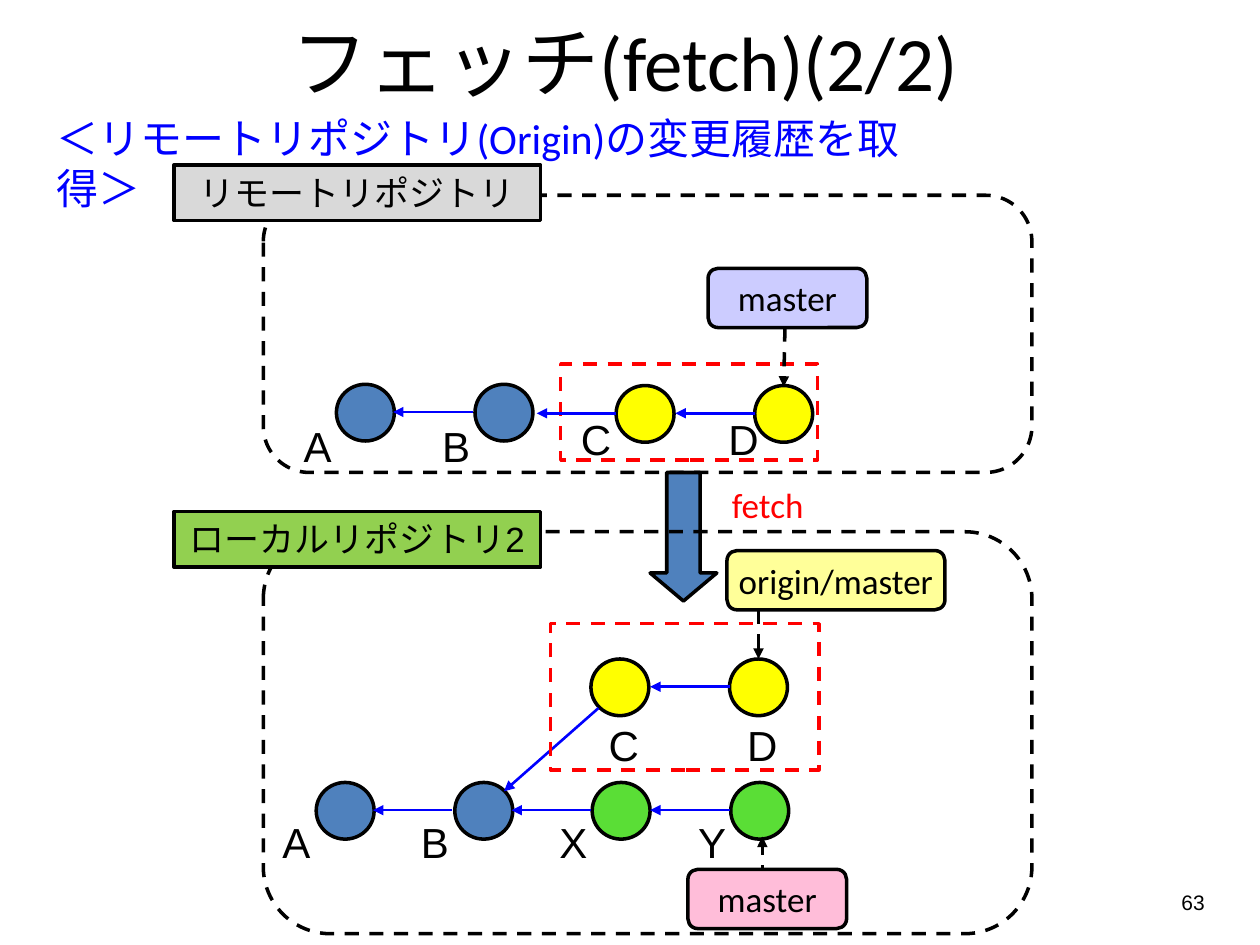
from pptx import Presentation
from pptx.dml.color import RGBColor
from pptx.enum.dml import MSO_LINE
from pptx.enum.shapes import MSO_CONNECTOR, MSO_SHAPE
from pptx.enum.text import MSO_ANCHOR, PP_ALIGN
from pptx.oxml.ns import qn
from pptx.util import Inches, Pt
from lxml.etree import SubElement

BLACK = RGBColor(0x00, 0x00, 0x00)
WHITE = RGBColor(0xFF, 0xFF, 0xFF)
RED = RGBColor(0xFF, 0x00, 0x00)
BLUE = RGBColor(0x00, 0x00, 0xFF)
STEEL = RGBColor(0x4F, 0x81, 0xBD)
YELLOW = RGBColor(0xFF, 0xFF, 0x00)
GREEN = RGBColor(0x5A, 0xDE, 0x36)
LIME = RGBColor(0x92, 0xD0, 0x50)
GRAY = RGBColor(0xD9, 0xD9, 0xD9)
PINK = RGBColor(0xFF, 0xBD, 0xD9)
CREAM = RGBColor(0xFF, 0xFF, 0x99)
LILAC = RGBColor(0xCC, 0xCC, 0xFF)

COLUMNS, ROWS = 100, 75
STEP = 11  # columns between neighbouring commits
COMMIT_WIDTH, COMMIT_HEIGHT = 4.6, 4.5


class Diagram:
    body_font = "Calibri"
    label_font = "Arial"

    def __init__(self, deck):
        self.column = deck.slide_width / COLUMNS
        self.row = deck.slide_height / ROWS
        self.page = deck.slides.add_slide(deck.slide_layouts[5])

    def place(self, left, top, width, height):
        """Turn columns and rows into slide lengths."""
        return (round(left * self.column), round(top * self.row),
                round(width * self.column), round(height * self.row))

    def fill_text(self, shape, words, size, font, color=BLACK,
                  align=PP_ALIGN.LEFT, anchor=MSO_ANCHOR.TOP, wrap=True, inset=None):
        frame = shape.text_frame
        frame.word_wrap = wrap
        frame.vertical_anchor = anchor
        if inset is not None:
            frame.margin_left = frame.margin_right = Inches(inset)
        para = frame.paragraphs[0]
        para.alignment = align
        para.font.size = Pt(size)
        para.font.name = font
        para.font.color.rgb = color
        para.add_run().text = words

    def title(self, words, *area):
        holder = self.page.shapes.title
        holder.left, holder.top, holder.width, holder.height = self.place(*area)
        self.fill_text(holder, words, 44, self.body_font,
                       align=PP_ALIGN.CENTER, anchor=MSO_ANCHOR.MIDDLE)

    def text(self, words, area, size, font, **style):
        box = self.page.shapes.add_textbox(*self.place(*area))
        self.fill_text(box, words, size, font, **style)
        return box

    def shape(self, kind, area, fill=None, line=BLACK, dashed=False):
        shape = self.page.shapes.add_shape(kind, *self.place(*area))
        shape.shadow.inherit = False
        if fill is None:
            shape.fill.background()
        else:
            shape.fill.solid()
            shape.fill.fore_color.rgb = fill
        if line is None:
            shape.line.fill.background()
        else:
            shape.line.color.rgb = line
            shape.line.width = Pt(2)
        if dashed:
            shape.line.dash_style = MSO_LINE.DASH
        return shape

    def repository(self, *area):
        self.shape(MSO_SHAPE.ROUNDED_RECTANGLE, area, dashed=True)

    def highlight(self, *area):
        self.shape(MSO_SHAPE.RECTANGLE, area, line=RED, dashed=True)

    def heading(self, words, top, fill):
        box = self.shape(MSO_SHAPE.RECTANGLE, (13.8, top, 29.1, 4.4), fill)
        self.fill_text(box, words, 20, self.label_font,
                       align=PP_ALIGN.CENTER, inset=0.02)

    def branch(self, words, left, top, width, fill):
        box = self.shape(MSO_SHAPE.ROUNDED_RECTANGLE, (left, top, width, 4.7), fill)
        self.fill_text(box, words, 20, self.body_font, align=PP_ALIGN.CENTER,
                       anchor=MSO_ANCHOR.MIDDLE, wrap=False)

    def arrow(self, start, end, color=BLUE, width=1.5, dashed=False):
        ends = self.place(*start, *end)
        connector = self.page.shapes.add_connector(MSO_CONNECTOR.STRAIGHT, *ends)
        connector.line.color.rgb = color
        connector.line.width = Pt(width)
        if dashed:
            connector.line.dash_style = MSO_LINE.DASH
        outline = connector._element.spPr.find(qn("a:ln"))
        SubElement(outline, qn("a:tailEnd"), type="triangle")
        SubElement(connector._element.spPr, qn("a:effectLst"))

    def pointer(self, start, end):
        self.arrow(start, end, BLACK, 2, dashed=True)

    def commits(self, left, top, fills):
        for index, fill in enumerate(fills):
            area = (left + index * STEP, top, COMMIT_WIDTH, COMMIT_HEIGHT)
            self.shape(MSO_SHAPE.OVAL, area, fill)

    def links(self, left, row, count):
        for index in range(count):
            tip = left + index * STEP
            self.arrow((tip + 6.3, row), (tip, row))

    def names(self, letters, left, top, step=STEP):
        for index, letter in enumerate(letters):
            box = self.text(letter, (left + index * step, top, 3.2, 4),
                            24, self.label_font, inset=0)
            box.text_frame.margin_top = box.text_frame.margin_bottom = 0


def main():
    deck = Presentation()
    deck.slide_width, deck.slide_height = Inches(10), Inches(7.5)
    diagram = Diagram(deck)

    # Title and subtitle
    diagram.title("フェッチ(fetch)(2/2)", 3.9, 0, 91.4, 9.7)
    diagram.text("＜リモートリポジトリ(Origin)の変更履歴を取得＞", (3.5, 8.4, 71.5, 5.1),
                 24, diagram.body_font, color=BLUE)

    # Local history
    diagram.repository(20.9, 15.5, 61, 22)
    diagram.commits(25.1, 62.1, [STEEL, STEEL])
    diagram.commits(47, 62.1, [GREEN, GREEN])
    diagram.links(29.6, 64.3, 3)
    diagram.names("ABXY", 22.4, 64.8)

    # Fetched commits
    fetch = diagram.shape(MSO_SHAPE.RECTANGLE, (57.1, 37.9, 8.1, 4.4), WHITE, line=None)
    diagram.fill_text(fetch, "fetch", 20, diagram.body_font, color=RED, wrap=False)
    diagram.commits(46.9, 52.3, [YELLOW, YELLOW])
    diagram.links(51.6, 54.5, 1)
    diagram.names("CD", 48.3, 57.1)
    diagram.arrow((47.5, 56.2), (40, 62.8))
    diagram.highlight(44.5, 28.9, 20.4, 7.6)
    diagram.highlight(43.7, 49.5, 21.3, 11.6)
    transfer = diagram.shape(MSO_SHAPE.DOWN_ARROW, (51.6, 37.5, 5.3, 10.2), STEEL)
    transfer.adjustments[1] = 0.42

    # Branches and what they point to
    diagram.pointer((60.5, 69.8), (60.5, 66.4))
    diagram.branch("master", 54.6, 69, 12.6, PINK)
    diagram.pointer((60.2, 48.4), (60.2, 52.3))
    diagram.branch("origin/master", 57.7, 43.7, 17.3, CREAM)
    diagram.branch("master", 56.2, 21.3, 12.6, LILAC)
    diagram.pointer((62.3, 26), (62.2, 30.7))

    # Remote history
    diagram.commits(26.7, 30.5, [STEEL, STEEL])
    diagram.commits(48.9, 30.6, [YELLOW, YELLOW])
    diagram.links(31.2, 32.7, 1)
    diagram.links(42.6, 32.8, 2)
    diagram.names("AB", 24.1, 33.4)
    diagram.names("CD", 46.1, 32.8, step=11.7)

    # Local frame and repository headings
    diagram.repository(20.9, 42.2, 61, 31.9)
    diagram.heading("ローカルリポジトリ2", 40.6, LIME)
    diagram.heading("リモートリポジトリ", 13.1, GRAY)

    # Page number
    diagram.text("63", (73.3, 69, 23.3, 5.2), 12, diagram.label_font,
                 align=PP_ALIGN.RIGHT, anchor=MSO_ANCHOR.MIDDLE)

    deck.save("out.pptx")


if __name__ == "__main__":
    main()
